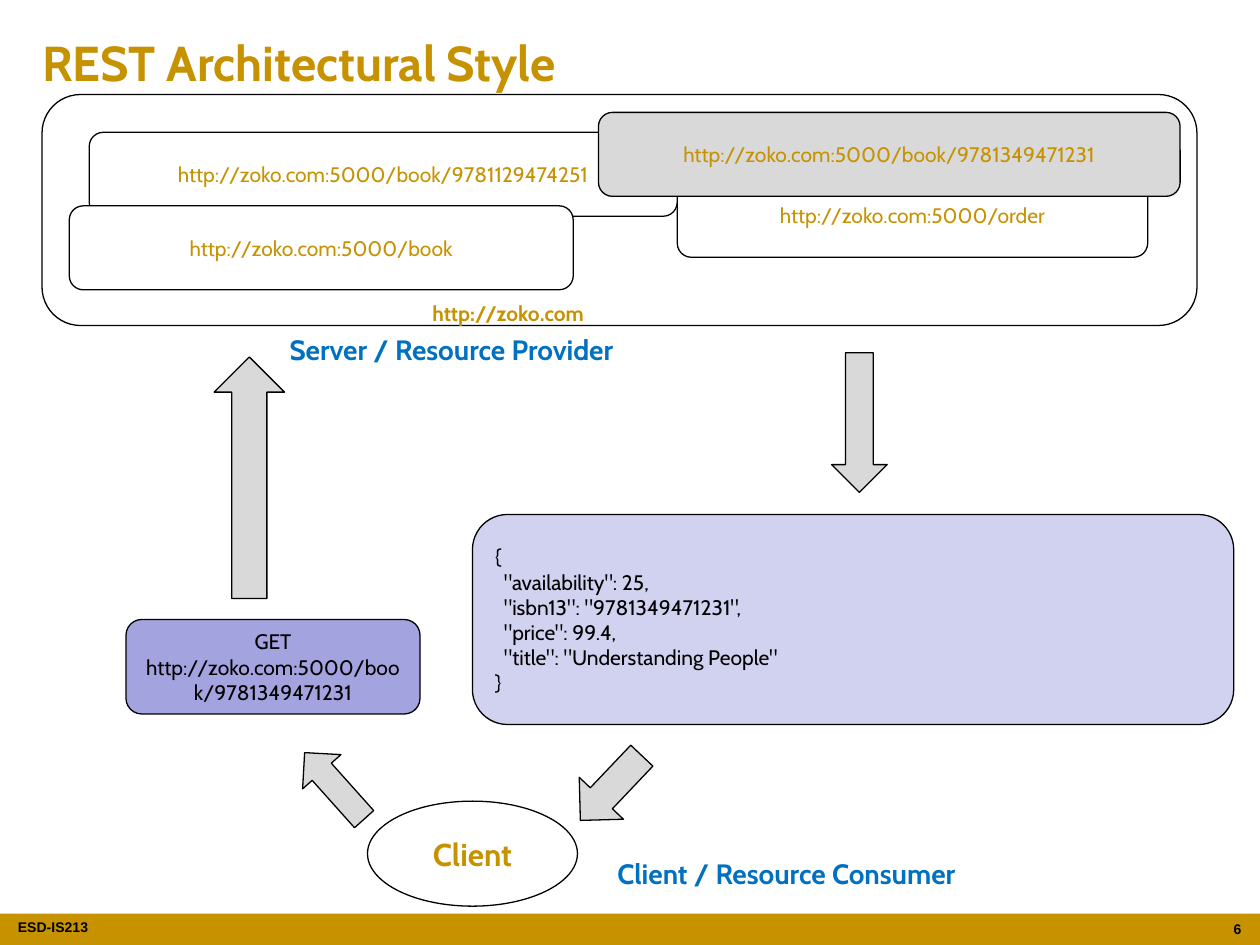
from pptx import Presentation
from pptx.dml.color import RGBColor
from pptx.enum.shapes import MSO_SHAPE
from pptx.enum.text import MSO_ANCHOR, MSO_AUTO_SIZE, PP_ALIGN
from pptx.util import Inches, Pt

GOLD, BLUE, BLACK, WHITE, GRAY = "C69200", "0070C0", "000000", "FFFFFF", "D9D9D9"
LILAC, VIOLET = "D1D1F0", "A3A3E0"
HOST = "http://zoko.com"
ISBN = "9781349471231"


def color(code):
    return RGBColor.from_string(code)


class SlideBuilder:
    font = "Cabin"
    columns, rows = 120, 90
    line_width = 0.75
    nested_indent = 0.07

    def __init__(self, deck):
        self.deck = deck
        self.page = deck.slides.add_slide(deck.slide_layouts[5])

    def area(self, left, top, width, height):
        column = self.deck.slide_width / self.columns
        row = self.deck.slide_height / self.rows
        return [round(n * unit) for n, unit in
                zip((left, top, width, height), (column, row, column, row))]

    def set_text(self, frame, lines, size, ink, bold=False, align=PP_ALIGN.LEFT, font=None):
        for index, line in enumerate(lines):
            para = frame.paragraphs[0] if index == 0 else frame.add_paragraph()
            para.text = line
            para.alignment = align
            para.font.name = font or self.font
            para.font.size = Pt(size)
            para.font.bold = bold
            para.font.color.rgb = color(ink)

    def title(self, area, text):
        box = self.page.shapes.title
        box.left, box.top, box.width, box.height = self.area(*area)
        box.text_frame.auto_size = MSO_AUTO_SIZE.NONE
        box.text_frame.vertical_anchor = MSO_ANCHOR.MIDDLE
        self.set_text(box.text_frame, [text], 28, GOLD, True)

    def shape(self, kind, area, fill=None, line=BLACK, turn=0):
        shape = self.page.shapes.add_shape(kind, *self.area(*area))
        shape.shadow.inherit = False
        shape.rotation = turn
        if fill:
            shape.fill.solid()
            shape.fill.fore_color.rgb = color(fill)
        else:
            shape.fill.background()
        if line:
            shape.line.color.rgb = color(line)
            shape.line.width = Pt(self.line_width)
        else:
            shape.line.fill.background()
        return shape

    def node(self, kind, area, text, fill=None, size=12, ink=GOLD, bold=False):
        frame = self.shape(kind, area, fill).text_frame
        frame.word_wrap = True
        frame.vertical_anchor = MSO_ANCHOR.MIDDLE
        self.set_text(frame, [text], size, ink, bold, PP_ALIGN.CENTER)

    def listing(self, area, lines, fill):
        frame = self.shape(MSO_SHAPE.ROUNDED_RECTANGLE, area, fill).text_frame
        frame.word_wrap = True
        frame.vertical_anchor = MSO_ANCHOR.MIDDLE
        self.set_text(frame, lines, 12, BLACK)
        for para in frame.paragraphs[1:-1]:
            properties = para._p.get_or_add_pPr()
            properties.set("marL", str(Inches(self.nested_indent)))
            properties.set("indent", "0")

    def label(self, area, text, size, ink, align=PP_ALIGN.LEFT, font=None, inset=0.1, wrap=True):
        frame = self.page.shapes.add_textbox(*self.area(*area)).text_frame
        frame.word_wrap = wrap
        frame.margin_left = frame.margin_right = Inches(inset)
        self.set_text(frame, [text], size, ink, True, align, font)


def main():
    deck = Presentation()
    deck.slide_width, deck.slide_height = Inches(10), Inches(7.5)
    slide = SlideBuilder(deck)
    rounded = MSO_SHAPE.ROUNDED_RECTANGLE

    slide.shape(MSO_SHAPE.RECTANGLE, (0, 87, 120, 3), GOLD, None)
    slide.label((1.7, 86.9, 15.5, 3), "ESD-IS213", 8, BLACK, font="Arial", inset=0)
    slide.title((2.8, 2.5, 114.5, 6.8), "REST Architectural Style")

    slide.listing((45, 49, 72.5, 20), [
        "{",
        '"availability": 25,',
        f'"isbn13": "{ISBN}",',
        '"price": 99.4,',
        '"title": "Understanding People"',
        "}",
    ], LILAC)

    for kind, area, turn in (
        (MSO_SHAPE.DOWN_ARROW, (79.2, 33.6, 5.3, 13.3), 0),
        (MSO_SHAPE.UP_ARROW, (29.4, 70.6, 4.9, 8.5), 318.2),
        (MSO_SHAPE.DOWN_ARROW, (55.3, 70.8, 5.8, 8.5), 43.5),
        (MSO_SHAPE.UP_ARROW, (20.4, 34, 6.7, 23), 0),
    ):
        slide.shape(kind, area, GRAY, turn=turn)

    slide.node(MSO_SHAPE.OVAL, (35, 76.3, 20, 10), "Client", size=18, bold=True)
    slide.node(rounded, (12, 59, 28, 9), f"GET {HOST}:5000/book/{ISBN}", VIOLET, ink=BLACK)

    slide.node(rounded, (64.5, 16.5, 44.8, 8), f"{HOST}:5000/order")
    slide.node(rounded, (8.5, 12.6, 56, 8), f"{HOST}:5000/book/9781129474251", WHITE)
    slide.shape(rounded, (4, 9, 110, 22))
    slide.label((40, 28, 49, 3.6), HOST, 12, GOLD)
    slide.node(rounded, (6.6, 19.6, 48, 8), f"{HOST}:5000/book", WHITE)
    slide.node(rounded, (57, 10.7, 55.4, 8), f"{HOST}:5000/book/{ISBN}", GRAY)

    for area, text in (
        ((23.4, 31.1, 39.2, 4.4), "Server / Resource Provider"),
        ((54.7, 81, 40.4, 4.4), "Client / Resource Consumer"),
    ):
        slide.label(area, text, 16, BLUE, PP_ALIGN.CENTER, wrap=False)
    slide.label((114.7, 87.1, 4.7, 2.9), "6", 8, BLACK, PP_ALIGN.RIGHT, "Arial")

    deck.save("out.pptx")


if __name__ == "__main__":
    main()
